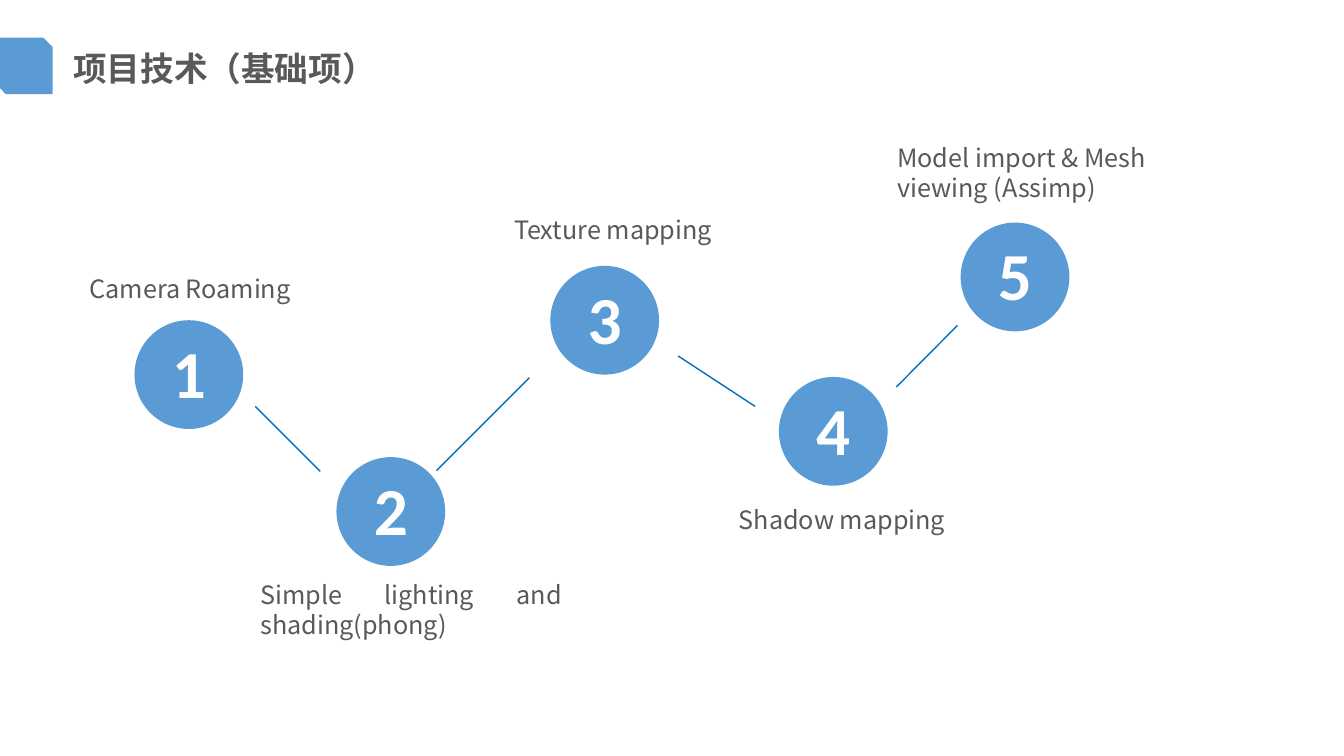
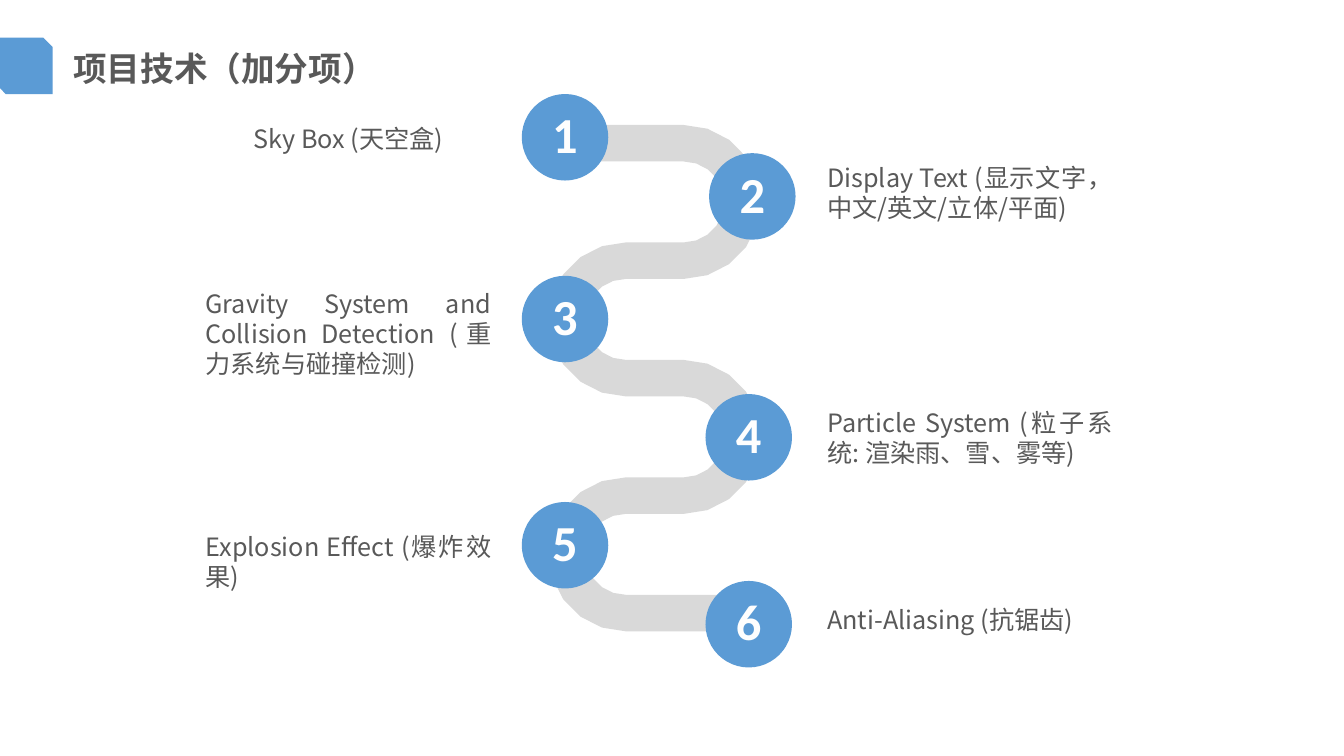
import math
from dataclasses import dataclass

from lxml import etree
from pptx import Presentation
from pptx import util as u
from pptx.dml import color
from pptx.enum import shapes, text
from pptx.oxml import ns


# Theme shared by all slides
@dataclass(frozen=True)
class Theme:
    blue: str = "5B9BD5"
    line: str = "0070C0"
    ribbon: str = "D9D9D9"
    body: str = "595959"
    white: str = "FEFEFE"
    text_font: str = "Noto Sans CJK SC"
    number_font: str = "Calibri"
    title_size: int = 24
    label_size: int = 18
    leading: float = 1.19


THEME = Theme()
ALIGN = text.PP_ALIGN
CENTER, JUSTIFY, LEFT = ALIGN.CENTER, ALIGN.JUSTIFY, ALIGN.LEFT


def rgb(value):
    return color.RGBColor.from_string(value)


# Elements
def add_text(slide, content, left, top, width, height, *, size, font=THEME.text_font,
             ink=THEME.body, bold=False, align=LEFT, wrap=True, leading=None, outline=None):
    box = slide.shapes.add_textbox(u.Cm(left), u.Cm(top), u.Cm(width), u.Cm(height))
    frame = box.text_frame
    frame.word_wrap = wrap
    frame.auto_size = text.MSO_AUTO_SIZE.SHAPE_TO_FIT_TEXT
    paragraph = frame.paragraphs[0]
    paragraph.alignment = align
    if leading:
        paragraph.line_spacing = u.Pt(round(size * leading, 1))
    run = paragraph.add_run()
    run.text = content
    run.font.size = u.Pt(size)
    run.font.bold = bold
    run.font.name = font
    run.font.color.rgb = rgb(ink)
    properties = run.font._element
    east_asian = etree.Element(ns.qn("a:ea"), typeface=font)
    properties.find(ns.qn("a:latin")).addnext(east_asian)
    if outline:
        edge = etree.Element(ns.qn("a:ln"), w=str(u.Pt(0.75)))
        fill = etree.SubElement(edge, ns.qn("a:solidFill"))
        etree.SubElement(fill, ns.qn("a:srgbClr"), val=outline)
        properties.insert(0, edge)


def paint(shape, fill):
    shape.shadow.inherit = False
    shape.fill.solid()
    shape.fill.fore_color.rgb = rgb(fill)
    shape.line.fill.background()


def add_filled_shape(slide, kind, left, top, size):
    shape = slide.shapes.add_shape(kind, u.Cm(left), u.Cm(top), u.Cm(size), u.Cm(size))
    paint(shape, THEME.blue)


def add_number(slide, number, center, diameter, size):
    x, y = center
    add_filled_shape(slide, shapes.MSO_SHAPE.OVAL, x - diameter / 2, y - diameter / 2, diameter)
    width, height = 1.78, 0.51 + size * 0.04
    add_text(slide, str(number), x - width / 2, y - height / 2, width, height, size=size,
             font=THEME.number_font, ink=THEME.white, bold=True, align=CENTER,
             outline=THEME.blue)


def add_label(slide, content, left, top, width, lines=1, align=JUSTIFY):
    add_text(slide, content, left, top, width, 0.3 + 0.76 * lines, size=THEME.label_size,
             align=align, leading=THEME.leading)


def add_line(slide, start, end):
    ends = [u.Cm(value) for value in (*start, *end)]
    line = slide.shapes.add_connector(shapes.MSO_CONNECTOR.STRAIGHT, *ends)
    line.line.color.rgb = rgb(THEME.line)
    line.line.width = u.Pt(1)
    etree.SubElement(line._element.spPr, ns.qn("a:effectLst"))


def ribbon_side(side, start, end):
    """Points along one edge of the winding ribbon; side is 1 (upper) or -1 (lower)."""
    first_row, radius, half_width = 3.61, 1.48, 0.46
    points = [(start, first_row - side * half_width)]
    for turn in range(4):
        direction = 1 if turn % 2 == 0 else -1
        center_x = 17.23 if direction == 1 else 15.77
        center_y = first_row + radius * (2 * turn + 1)
        reach = radius + direction * side * half_width
        for degrees in range(-90, 91, 18):
            angle = math.radians(degrees)
            points.append((center_x + direction * reach * math.cos(angle),
                           center_y + reach * math.sin(angle)))
    return points + [(end, first_row + 8 * radius - side * half_width)]


def add_ribbon(slide):
    start, end, tip = 14.53, 18.49, 0.31
    points = (ribbon_side(1, start, end) + [(end + tip, 15.45)]
              + ribbon_side(-1, start, end)[::-1] + [(start - tip, 3.61)])
    corners = [(u.Cm(x), u.Cm(y)) for x, y in points]
    builder = slide.shapes.build_freeform(*corners[0])
    builder.add_line_segments(corners[1:], close=True)
    paint(builder.convert_to_shape(), THEME.ribbon)


# Slides
def add_titled_slide(presentation, title):
    slide = presentation.slides.add_slide(presentation.slide_layouts[6])
    add_filled_shape(slide, shapes.MSO_SHAPE.SNIP_2_DIAG_RECTANGLE, -0.09, 0.95, 1.42)
    add_text(slide, title, 1.6, 1.09, 8.13, 1.35, size=THEME.title_size, bold=True,
             wrap=False, leading=THEME.leading)
    return slide


def build_basic_slide(presentation):
    slide = add_titled_slide(presentation, "项目技术（基础项）")
    lines = [
        ((6.43, 10.24), (8.07, 11.88)),
        ((11, 11.86), (13.34, 9.52)),
        ((17.09, 8.97), (19.03, 10.24)),
        ((22.59, 9.75), (24.13, 8.2)),
    ]
    for start, end in lines:
        add_line(slide, start, end)
    # Circle centre, then label with its place, line count and alignment
    steps = [
        ((4.76, 9.44), "Camera Roaming", 0.74, 6.77, 1, CENTER),
        ((9.85, 12.89), "Simple lighting and shading(phong)", 6.31, 14.48, 2, JUSTIFY),
        ((15.24, 8.07), "Texture mapping", 11.4, 5.28, 1, CENTER),
        ((21, 10.87), "Shadow mapping", 18.37, 12.6, 1, JUSTIFY),
        ((25.58, 6.98), "Model import & Mesh viewing (Assimp)", 22.36, 3.46, 2, LEFT),
    ]
    for number, (center, label, left, top, count, align) in enumerate(steps, 1):
        add_number(slide, number, center, 2.74, 48)
        add_label(slide, label, left, top, 8.1, count, align)


def build_bonus_slide(presentation):
    slide = add_titled_slide(presentation, "项目技术（加分项）")
    add_ribbon(slide)
    # Circle centre, then label with its top, line count and alignment
    steps = [
        ((14.24, 3.46), "Sky Box (天空盒)", 2.98, 1, CENTER),
        ((18.96, 4.95), "Display Text (显示文字，中文/英文/立体/平面)", 3.97, 2, JUSTIFY),
        ((14.24, 8.04), "Gravity System and Collision Detection (重力系统与碰撞检测)",
         7.16, 3, JUSTIFY),
        ((18.87, 11.02), "Particle System (粒子系统: 渲染雨、雪、雾等)", 10.14, 2, JUSTIFY),
        ((14.24, 13.74), "Explosion Eﬀect (爆炸效果)", 13.27, 2, JUSTIFY),
        ((18.87, 15.73), "Anti-Aliasing (抗锯齿)", 15.12, 1, JUSTIFY),
    ]
    for number, (center, label, top, count, align) in enumerate(steps, 1):
        add_number(slide, number, center, 2.18, 36)
        left = 4.93 if number % 2 else 20.6
        add_label(slide, label, left, top, 7.7, count, align)


def main():
    presentation = Presentation()
    presentation.slide_width = u.Cm(33.87)
    presentation.slide_height = u.Cm(19.05)
    build_basic_slide(presentation)
    build_bonus_slide(presentation)
    presentation.save("out.pptx")


main()
